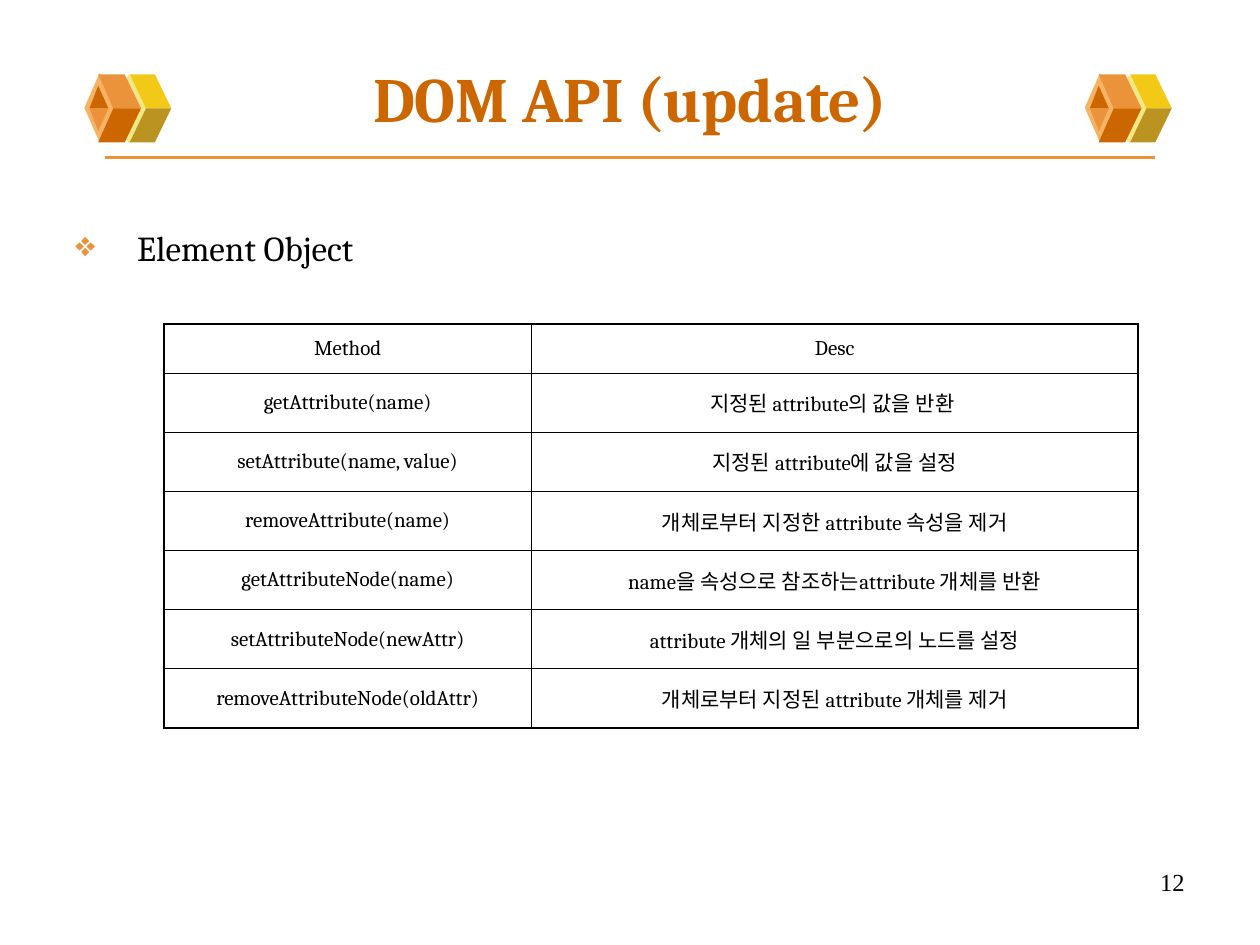
from typing import NamedTuple

from lxml.etree import SubElement
from pptx import Presentation
from pptx.dml.color import RGBColor
from pptx.enum.shapes import MSO_CONNECTOR, MSO_SHAPE
from pptx.enum.text import MSO_ANCHOR, PP_ALIGN
from pptx.oxml.ns import qn
from pptx.util import Inches, Pt

ORANGE, DARK_ORANGE, BLACK = "EB933B", "CC6600", "000000"
OUTER_BORDER, INNER_BORDER = 1.08, 0.45


class Facet(NamedTuple):
    """A flat piece of the ornament, relative to the ornament's corner."""
    color: str
    points: tuple[tuple[float, float], ...]


class Diamond(NamedTuple):
    color: str
    left: float
    top: float
    width: float
    height: float


class Method(NamedTuple):
    name: str
    desc: str


ORNAMENT = [
    Diamond("F1E785", 0.19, 0.01, 0.33, 0.55),
    Facet("F3C917", ((0.49, 0.28), (0.69, 0.28), (0.56, 0.01), (0.36, 0.01))),
    Facet("BB9321", ((0.49, 0.28), (0.69, 0.28), (0.56, 0.55), (0.36, 0.55))),
    Diamond("F5B363", 0, 0, 0.24, 0.55),
    Facet(ORANGE, ((0.23, 0.28), (0.45, 0.28), (0.32, 0.01), (0.11, 0.01))),
    Facet(DARK_ORANGE, ((0.23, 0.28), (0.45, 0.28), (0.32, 0.55), (0.11, 0.55))),
    Facet(DARK_ORANGE, ((0.11, 0.1), (0.04, 0.28), (0.19, 0.28))),
    Facet(ORANGE, ((0.11, 0.46), (0.04, 0.28), (0.19, 0.28))),
]

METHODS = [
    Method("Method", "Desc"),
    Method("getAttribute(name)", "지정된 attribute의 값을 반환 "),
    Method("setAttribute(name, value)", "지정된 attribute에 값을 설정"),
    Method("removeAttribute(name)", "개체로부터 지정한 attribute 속성을 제거"),
    Method("getAttributeNode(name)", "name을 속성으로 참조하는attribute 개체를 반환"),
    Method("setAttributeNode(newAttr)", "attribute 개체의 일 부분으로의 노드를 설정"),
    Method("removeAttributeNode(oldAttr)", "개체로부터 지정된 attribute 개체를 제거"),
]


def rgb(color: str) -> RGBColor:
    return RGBColor.from_string(color)


def draw_ornament(slide, left: float, top: float) -> None:
    for part in ORNAMENT:
        if isinstance(part, Diamond):
            shape = slide.shapes.add_shape(
                MSO_SHAPE.DIAMOND, Inches(left + part.left), Inches(top + part.top),
                Inches(part.width), Inches(part.height))
        else:
            corners = [(Inches(left + x), Inches(top + y)) for x, y in part.points]
            builder = slide.shapes.build_freeform(*corners[0])
            builder.add_line_segments(corners[1:], close=True)
            shape = builder.convert_to_shape()
        shape.shadow.inherit = False
        shape.fill.solid()
        shape.fill.fore_color.rgb = rgb(part.color)
        shape.line.fill.background()


def draw_rule(slide, left: float, right: float, y: float) -> None:
    rule = slide.shapes.add_connector(
        MSO_CONNECTOR.STRAIGHT, Inches(left), Inches(y), Inches(right), Inches(y))
    rule.line.color.rgb = rgb(ORANGE)
    rule.line.width = Pt(2.25)
    SubElement(rule._element.spPr, qn("a:effectLst"))


def style_paragraph(paragraph, size: float, align=PP_ALIGN.LEFT, color: str = BLACK,
                    bold: bool = False, font: str = "Cambria", before: float = 0) -> None:
    paragraph.alignment = align
    paragraph.space_before = Pt(before)
    paragraph.font.name = font
    paragraph.font.size = Pt(size)
    paragraph.font.bold = bold
    paragraph.font.color.rgb = rgb(color)


def add_text(slide, text: str, left: float, top: float, width: float, height: float,
             anchor=MSO_ANCHOR.TOP, **style):
    """Add a one-paragraph text box and return its paragraph."""
    frame = slide.shapes.add_textbox(
        Inches(left), Inches(top), Inches(width), Inches(height)).text_frame
    frame.word_wrap = True
    frame.vertical_anchor = anchor
    paragraph = frame.paragraphs[0]
    paragraph.text = text
    style_paragraph(paragraph, **style)
    return paragraph


def add_bullet(paragraph, symbol: str, color: str, indent: float) -> None:
    properties = paragraph._p.get_or_add_pPr()
    properties.set("marL", str(Inches(indent)))
    properties.set("indent", str(-Inches(indent)))
    bullet_color = properties.makeelement(qn("a:buClr"), {})
    SubElement(bullet_color, qn("a:srgbClr"), val=color)
    bullet = properties.makeelement(qn("a:buChar"), {"char": symbol})
    default_font = properties.find(qn("a:defRPr"))
    default_font.addprevious(bullet_color)
    default_font.addprevious(bullet)


def set_border(cell, side: str, width: float) -> None:
    line = SubElement(cell._tc.get_or_add_tcPr(), qn(f"a:ln{side}"), w=str(Pt(width)))
    SubElement(SubElement(line, qn("a:solidFill")), qn("a:srgbClr"), val=BLACK)


def draw_method_table(slide, left: float, top: float) -> None:
    widths = (2.92, 4.81)
    heights = [0.39] + [0.47] * (len(METHODS) - 1)
    table = slide.shapes.add_table(
        len(heights), len(widths), Inches(left), Inches(top),
        Inches(sum(widths)), Inches(sum(heights))).table
    table.first_row = table.horz_banding = False
    for column, width in zip(table.columns, widths):
        column.width = Inches(width)
    last_row, last_column = len(heights) - 1, len(widths) - 1
    for r, method in enumerate(METHODS):
        table.rows[r].height = Inches(heights[r])
        for c, text in enumerate(method):
            cell = table.cell(r, c)
            cell.text = text
            cell.vertical_anchor = MSO_ANCHOR.MIDDLE
            style_paragraph(cell.text_frame.paragraphs[0], 12, PP_ALIGN.CENTER, before=3)
            outer = {"L": c == 0, "R": c == last_column, "T": r == 0, "B": r == last_row}
            for side, is_outer in outer.items():
                set_border(cell, side, OUTER_BORDER if is_outer else INNER_BORDER)
            cell.fill.background()


def fill_background(slide) -> None:
    fill = slide.background.fill
    fill.gradient()
    fill.gradient_angle = 270
    for stop, color in zip(fill.gradient_stops, ("FFFFFF", "FEFEFE")):
        stop.color.rgb = rgb(color)


def main() -> None:
    deck = Presentation()
    deck.slide_width, deck.slide_height = Inches(10), Inches(7.5)
    slide = deck.slides.add_slide(deck.slide_layouts[6])
    fill_background(slide)

    draw_rule(slide, 0.83, 9.17, 1.25)
    for left in (0.67, 8.61):
        draw_ornament(slide, left, 0.58)
    add_text(slide, "DOM API (update)", 0.5, 0.3, 9, 0.95, MSO_ANCHOR.MIDDLE,
             size=36, align=PP_ALIGN.CENTER, color=DARK_ORANGE, bold=True)
    topic = add_text(slide, "Element Object", 0.5, 1.75, 8.99, 4.95, size=20, before=5)
    add_bullet(topic, "❖", ORANGE, 0.49)
    draw_method_table(slide, 1.3, 2.57)
    add_text(slide, "12", 7.17, 6.83, 2.33, 0.3, size=14, align=PP_ALIGN.RIGHT,
             font="Times New Roman")
    deck.save("out.pptx")


if __name__ == "__main__":
    main()
